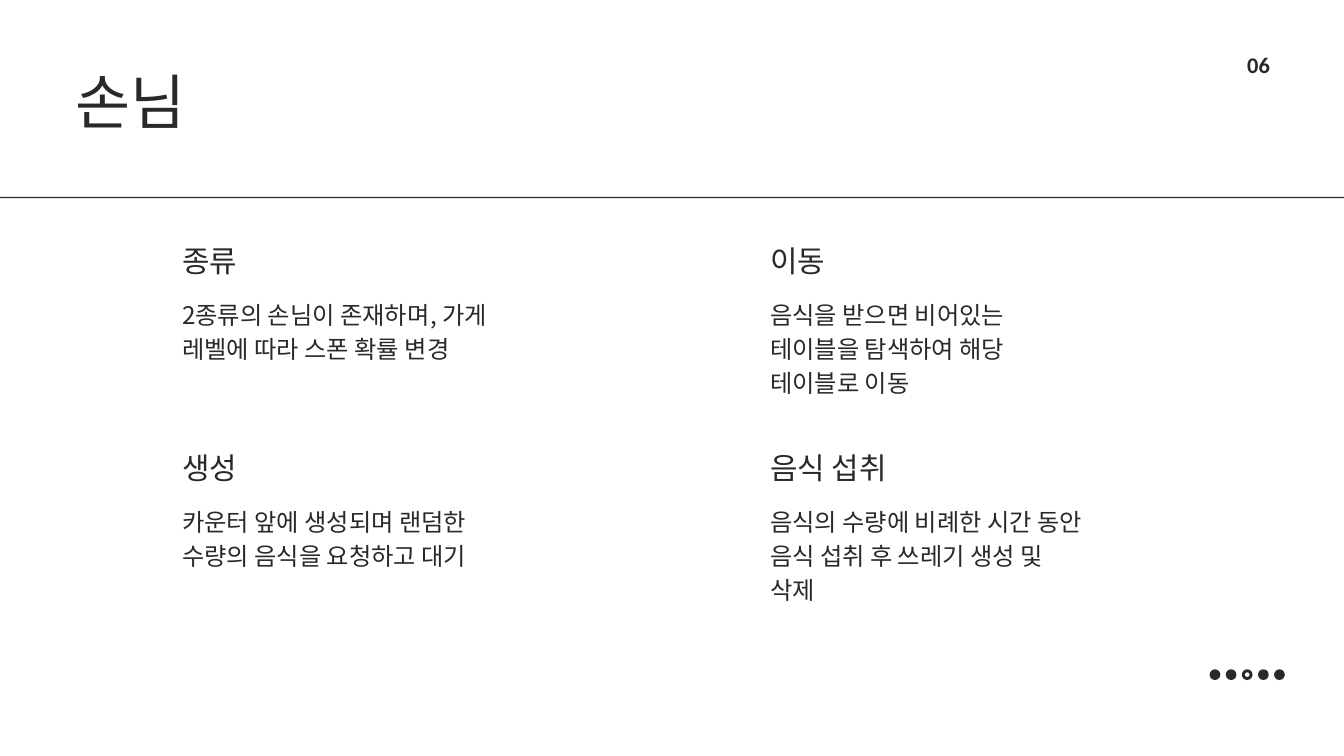
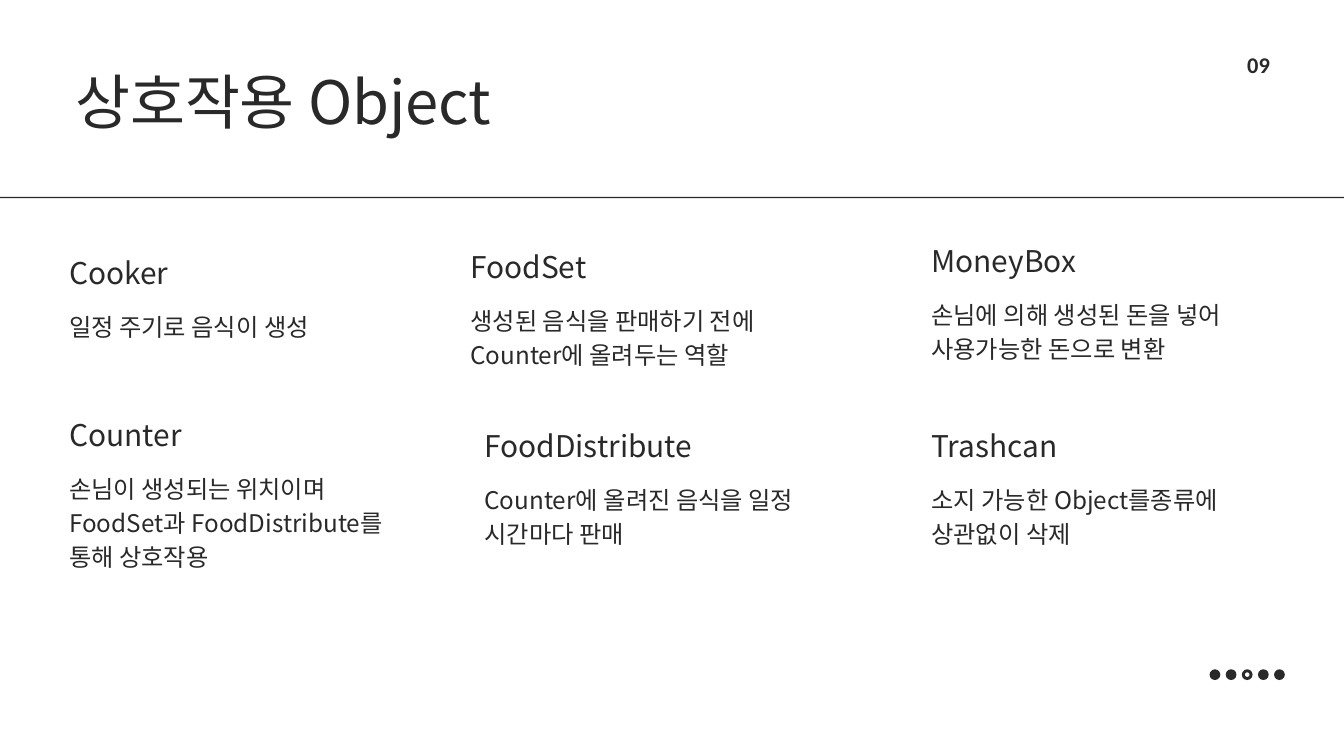
from dataclasses import dataclass

from lxml.etree import SubElement
from pptx import Presentation
from pptx.dml.color import RGBColor
from pptx.enum.shapes import MSO_SHAPE
from pptx.enum.text import MSO_ANCHOR, MSO_AUTO_SIZE, PP_ALIGN
from pptx.oxml.ns import qn
from pptx.shapes.autoshape import Shape
from pptx.slide import Slide
from pptx.util import Inches, Length, Pt

COLORS = {"ink": "292929", "paper": "FFFFFF"}
KOREAN, LATIN = "Noto Sans CJK KR", "Calibri"

# The slide is a grid of one-inch cells.
COLUMNS, ROWS = 20, 11.25
TOPIC_WIDTH = 4.7
HEADING_HEIGHT = 0.55
DETAIL_OFFSET = 0.74
DOT_COUNT, OPEN_DOT = 5, 2
DOT_LEFT, DOT_TOP, DOT_SIZE, DOT_STEP = 18, 9.96, 0.16, 0.24


@dataclass(frozen=True)
class TextStyle:
    size: float
    leading: float
    font: str = KOREAN
    bold: bool = False


TITLE = TextStyle(64, 70.4)
HEADING = TextStyle(32, 35.2)
DETAIL = TextStyle(26, 36.4)
PAGE_NUMBER = TextStyle(24, 33.6, LATIN, True)


@dataclass(frozen=True)
class Topic:
    column: float
    row: float
    heading: str
    detail: str
    detail_height: float = 0.98


@dataclass(frozen=True)
class Page:
    number: str
    title: str
    topics: tuple[Topic, ...]


LEFT, RIGHT = 2.71, 11.46
UPPER, LOWER = 3.66, 6.74
FIRST, SECOND, THIRD = 1.03, 7, 13.86

PAGES = (
    Page("06", "손님", (
        Topic(LEFT, UPPER, "종류", "2종류의 손님이 존재하며, 가게 레벨에 따라 스폰 확률 변경"),
        Topic(RIGHT, UPPER, "이동", "음식을 받으면 비어있는 테이블을 탐색하여 해당 테이블로 이동"),
        Topic(LEFT, LOWER, "생성", "카운터 앞에 생성되며 랜덤한 수량의 음식을 요청하고 대기"),
        Topic(RIGHT, LOWER, "음식 섭취", "음식의 수량에 비례한 시간 동안 음식 섭취 후 쓰레기 생성 및 삭제"),
    )),
    Page("09", "상호작용 Object", (
        Topic(FIRST, 3.83, "Cooker", "일정 주기로 음식이 생성", 0.48),
        Topic(SECOND, 3.75, "FoodSet", "생성된 음식을 판매하기 전에 Counter에 올려두는 역할"),
        Topic(THIRD, UPPER, "MoneyBox", "손님에 의해 생성된 돈을 넣어 사용가능한 돈으로 변환"),
        Topic(FIRST, 6.25, "Counter",
              "손님이 생성되는 위치이며 FoodSet과 FoodDistribute를 통해 상호작용"),
        Topic(SECOND + 0.21, 6.41, "FoodDistribute", "Counter에 올려진 음식을 일정 시간마다 판매"),
        Topic(THIRD, 6.41, "Trashcan", "소지 가능한 Object를종류에 상관없이 삭제"),
    )),
)


def cells(*counts: float) -> tuple[Length, ...]:
    return tuple(Inches(count) for count in counts)


def write(box: Shape, text: str, style: TextStyle) -> None:
    frame = box.text_frame
    frame.text = text
    frame.word_wrap = True
    frame.auto_size = MSO_AUTO_SIZE.SHAPE_TO_FIT_TEXT
    frame.vertical_anchor = MSO_ANCHOR.TOP
    frame.margin_left = frame.margin_right = frame.margin_top = frame.margin_bottom = 0
    paragraph = frame.paragraphs[0]
    paragraph.alignment = PP_ALIGN.LEFT
    paragraph.line_spacing = Pt(style.leading)
    font = paragraph.font
    font.size = Pt(style.size)
    font.bold = style.bold
    font.name = style.font
    font.color.rgb = RGBColor.from_string(COLORS["ink"])
    defaults = paragraph._p.pPr.find(qn("a:defRPr"))
    SubElement(defaults, qn("a:ea")).set("typeface", style.font)


def add_ink_shape(shapes, kind: MSO_SHAPE, *place: float) -> Shape:
    shape = shapes.add_shape(kind, *cells(*place))
    shape.fill.solid()
    shape.fill.fore_color.rgb = RGBColor.from_string(COLORS["ink"])
    shape.line.fill.background()
    shape.shadow.inherit = False
    return shape


def add_topic(slide: Slide, topic: Topic) -> None:
    shapes = slide.shapes.add_group_shape().shapes
    detail = shapes.add_textbox(*cells(
        topic.column, topic.row + DETAIL_OFFSET, TOPIC_WIDTH, topic.detail_height))
    write(detail, topic.detail, DETAIL)
    heading = shapes.add_textbox(*cells(topic.column, topic.row, TOPIC_WIDTH, HEADING_HEIGHT))
    write(heading, topic.heading, HEADING)


def add_dots(slide: Slide) -> None:
    shapes = slide.shapes.add_group_shape().shapes
    for index in range(DOT_COUNT):
        kind = MSO_SHAPE.DONUT if index == OPEN_DOT else MSO_SHAPE.OVAL
        dot = add_ink_shape(
            shapes, kind, DOT_LEFT + index * DOT_STEP, DOT_TOP, DOT_SIZE, DOT_SIZE)
        if index == OPEN_DOT:
            dot.adjustments[0] = 0.28


def add_page(deck: Presentation, page: Page) -> None:
    slide = deck.slides.add_slide(deck.slide_layouts.get_by_name("Title Only"))
    slide.background.fill.solid()
    slide.background.fill.fore_color.rgb = RGBColor.from_string(COLORS["paper"])
    title = slide.shapes.title
    title.left, title.top, title.width, title.height = cells(1.12, 1.05, 8.12, 1.13)
    write(title, page.title, TITLE)
    add_ink_shape(slide.shapes, MSO_SHAPE.RECTANGLE, 0, 2.93, COLUMNS, 0.02)
    for topic in page.topics:
        add_topic(slide, topic)
    add_dots(slide)
    number = slide.shapes.add_textbox(*cells(18.56, 0.69, COLUMNS - 18.56, 0.44))
    write(number, page.number, PAGE_NUMBER)


def main() -> None:
    deck = Presentation()
    deck.slide_width, deck.slide_height = cells(COLUMNS, ROWS)
    for page in PAGES:
        add_page(deck, page)
    deck.save("out.pptx")


if __name__ == "__main__":
    main()
